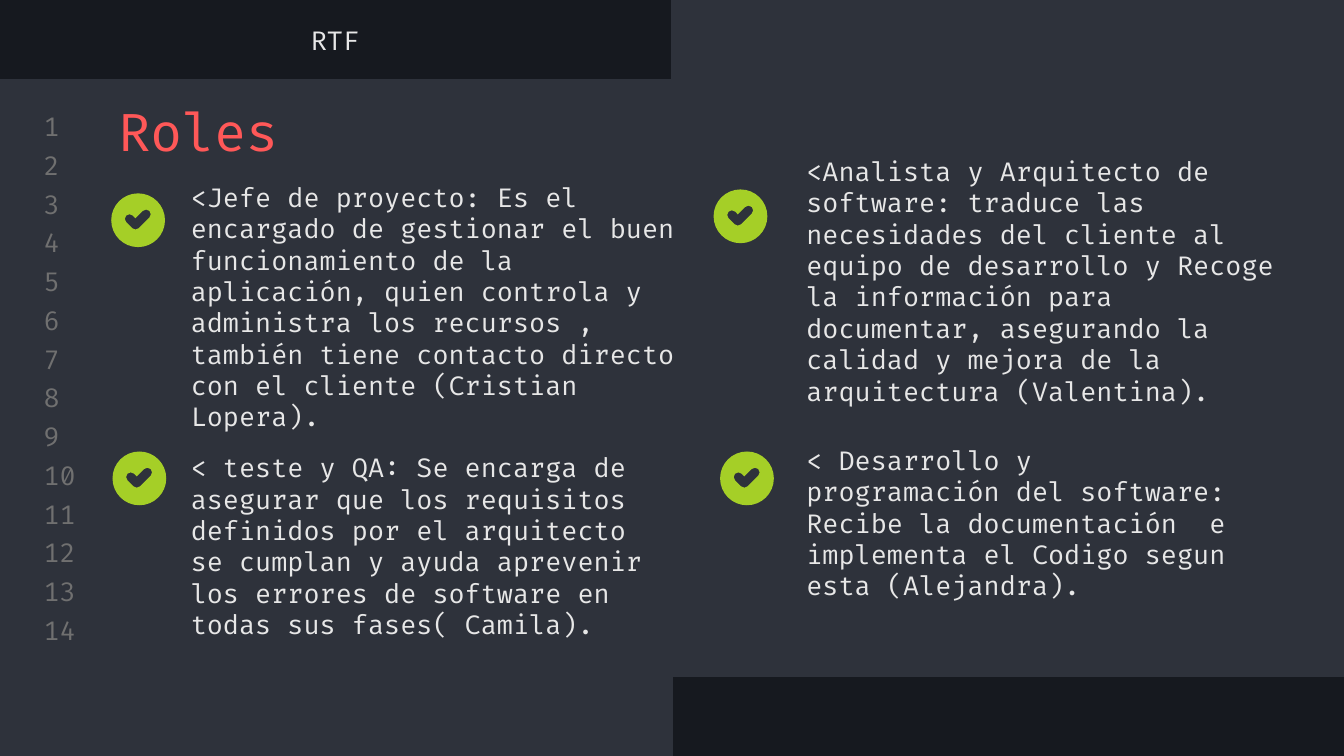
import dataclasses
import math

import pptx
import pptx.dml.color
import pptx.enum.shapes
import pptx.enum.text
import pptx.oxml.ns
import pptx.util
from lxml import etree

Pt = pptx.util.Pt
qn = pptx.oxml.ns.qn
ANCHOR = pptx.enum.text.MSO_ANCHOR
ALIGN = pptx.enum.text.PP_ALIGN

FONT = "Fira Code"
DARK, PANEL = "16191F", "2E323B"
LIGHT, GREY, RED, GREEN = "E7E7E7", "707070", "FF5858", "A5CF27"
COMPARISON_LAYOUT = 4
BADGE_RADIUS = 14.4
CHECK_RADIUS = 2.5
QUARTER_HANDLE = 0.5523


@dataclasses.dataclass
class Frame:
    left: float
    top: float
    width: float
    height: float


@dataclasses.dataclass
class Role:
    text: str
    frame: Frame
    badge_x: float
    badge_y: float


PANELS = [
    Frame(360, 0, 360, 46.8),
    Frame(0, 358.4, 360, 46.6),
    Frame(0, 42.5, 720, 319.7),
]

ROLES = [
    Role("<Jefe de proyecto: Es el encargado de gestionar el buen funcionamiento "
         "de la aplicación, quien controla y administra los recursos , también "
         "tiene contacto directo con el cliente (Cristian Lopera).",
         Frame(95, 115, 287.3, 98.6), 74, 118),
    Role("< teste y QA: Se encarga de asegurar que los requisitos definidos por "
         "el arquitecto se cumplan y ayuda aprevenir los errores de software en "
         "todas sus fases( Camila).",
         Frame(95, 265, 264.2, 54.7), 74.7, 256.3),
    Role("< Desarrollo y programación del software: Recibe la documentación  e "
         "implementa el Codigo segun esta (Alejandra).",
         Frame(424.8, 262.1, 245.5, 36), 400.2, 256.3),
    Role("<Analista y Arquitecto de software: traduce las necesidades del cliente "
         "al equipo de desarrollo y Recoge la información para documentar, "
         "asegurando la calidad y mejora de la arquitectura (Valentina).",
         Frame(424.8, 132.4, 275.8, 36), 396.7, 115.9),
]


def color(value: str) -> pptx.dml.color.RGBColor:
    return pptx.dml.color.RGBColor.from_string(value)


def place(shape, frame: Frame) -> None:
    shape.left, shape.top = Pt(frame.left), Pt(frame.top)
    shape.width, shape.height = Pt(frame.width), Pt(frame.height)


def write(shape, text: str, size: float, ink: str,
          anchor=ANCHOR.MIDDLE, align=ALIGN.LEFT) -> None:
    box = shape.text_frame
    box.text = text
    box.word_wrap = True
    box.auto_size = pptx.enum.text.MSO_AUTO_SIZE.NONE
    box.vertical_anchor = anchor
    box.margin_left = box.margin_right = Pt(7.2)
    box.margin_top = box.margin_bottom = Pt(7.2)
    para = box.paragraphs[0]
    para.alignment = align
    para.space_before = Pt(0)
    span = para.runs[0]
    span.font.name = FONT
    span.font.size = Pt(size)
    span.font.bold = False
    span.font.color.rgb = color(ink)


def add_panel(page, frame: Frame) -> None:
    panel = page.shapes.add_shape(
        pptx.enum.shapes.MSO_SHAPE.RECTANGLE,
        Pt(frame.left), Pt(frame.top), Pt(frame.width), Pt(frame.height))
    panel.shadow.inherit = False
    panel.fill.solid()
    panel.fill.fore_color.rgb = color(PANEL)
    panel.line.color.rgb = color(PANEL)
    panel.line.width = Pt(0.75)


def add_text(page, frame: Frame, text: str, ink: str, align=ALIGN.LEFT) -> None:
    box = page.shapes.add_textbox(0, 0, 0, 0)
    place(box, frame)
    write(box, text, 14, ink, align=align)


def bring_to_front(shape) -> None:
    shape.element.getparent().append(shape.element)


def fill_role(body, role: Role) -> None:
    bring_to_front(body)
    place(body, role.frame)
    write(body, role.text, 14, LIGHT)
    properties = body.element.find(".//" + qn("a:pPr"))
    properties.set("marL", "0")
    properties.set("indent", "0")
    etree.SubElement(properties, qn("a:buNone"))


def arc(x: float, y: float, radius: float, start: int, quarters: int) -> list[tuple[int, int]]:
    points = [(1, 0)]
    for _ in range(quarters):
        (c, s) = points[-1]
        points += [(c - QUARTER_HANDLE * s, s + QUARTER_HANDLE * c),
                   (QUARTER_HANDLE * c - s, QUARTER_HANDLE * s + c),
                   (-s, c)]
    cos, sin = math.cos(math.radians(start)), math.sin(math.radians(start))
    return [(Pt(x + radius * (cos * a - sin * b)), Pt(y + radius * (sin * a + cos * b)))
            for a, b in points]


def bend_lines(badge, groups: list[int]) -> None:
    lines = iter(list(badge.element.iter(qn("a:lnTo"))))
    for size in groups:
        group = [next(lines) for _ in range(size)]
        if size == 3:
            curve = etree.Element(qn("a:cubicBezTo"))
            group[0].addprevious(curve)
            for line in group:
                curve.append(line[0])
                line.getparent().remove(line)


def add_badge(page, x: float, y: float) -> None:
    circle = arc(x, y, BADGE_RADIUS, 0, 4)
    check = [
        *arc(x + 4.3, y - 3.2, CHECK_RADIUS, -135, 2),
        *arc(x - 1.4, y + 2.5, CHECK_RADIUS, 45, 1),
        *arc(x - 4.6, y - 0.7, CHECK_RADIUS, 135, 2),
        (Pt(x - 1.4), Pt(y + 2.5 - CHECK_RADIUS * math.sqrt(2))),
    ]
    builder = page.shapes.build_freeform(*circle[0])
    builder.add_line_segments(circle[1:])
    builder.move_to(*check[0])
    builder.add_line_segments(check[1:])
    badge = builder.convert_to_shape()
    bend_lines(badge, [3, 3, 3, 3, 3, 3, 1, 3, 1, 3, 3, 1])
    badge.shadow.inherit = False
    badge.fill.solid()
    badge.fill.fore_color.rgb = color(GREEN)
    badge.line.fill.background()


def main() -> None:
    deck = pptx.Presentation()
    deck.slide_width, deck.slide_height = Pt(720), Pt(405)
    page = deck.slides.add_slide(deck.slide_layouts[COMPARISON_LAYOUT])
    page.background.fill.solid()
    page.background.fill.fore_color.rgb = color(DARK)
    title, *bodies = list(page.placeholders)

    for frame in PANELS:
        add_panel(page, frame)
    for index in range(14):
        add_text(page, Frame(16.3, 59 + 20.76 * index, 33.8, 17.3), str(index + 1), GREY)

    bring_to_front(title)
    place(title, Frame(56.2, 46.1, 607.7, 45.4))
    write(title, "Roles", 28, RED, anchor=ANCHOR.TOP)
    add_text(page, Frame(-0.5, 7.2, 360, 28.1), "RTF", LIGHT, ALIGN.CENTER)

    for body, role in zip(bodies, ROLES):
        fill_role(body, role)
    for role in ROLES:
        add_badge(page, role.badge_x, role.badge_y)
    deck.save("out.pptx")


if __name__ == "__main__":
    main()
